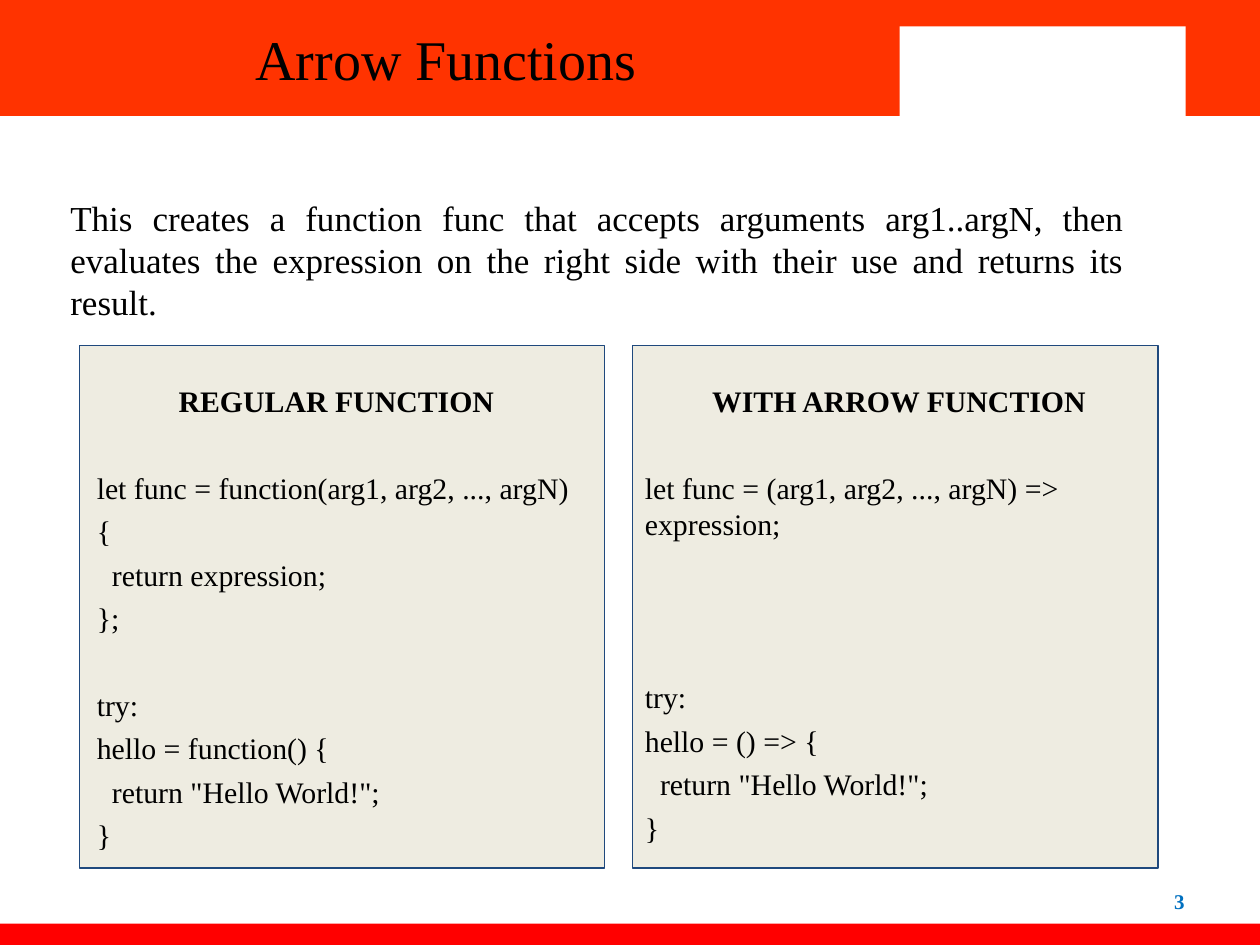
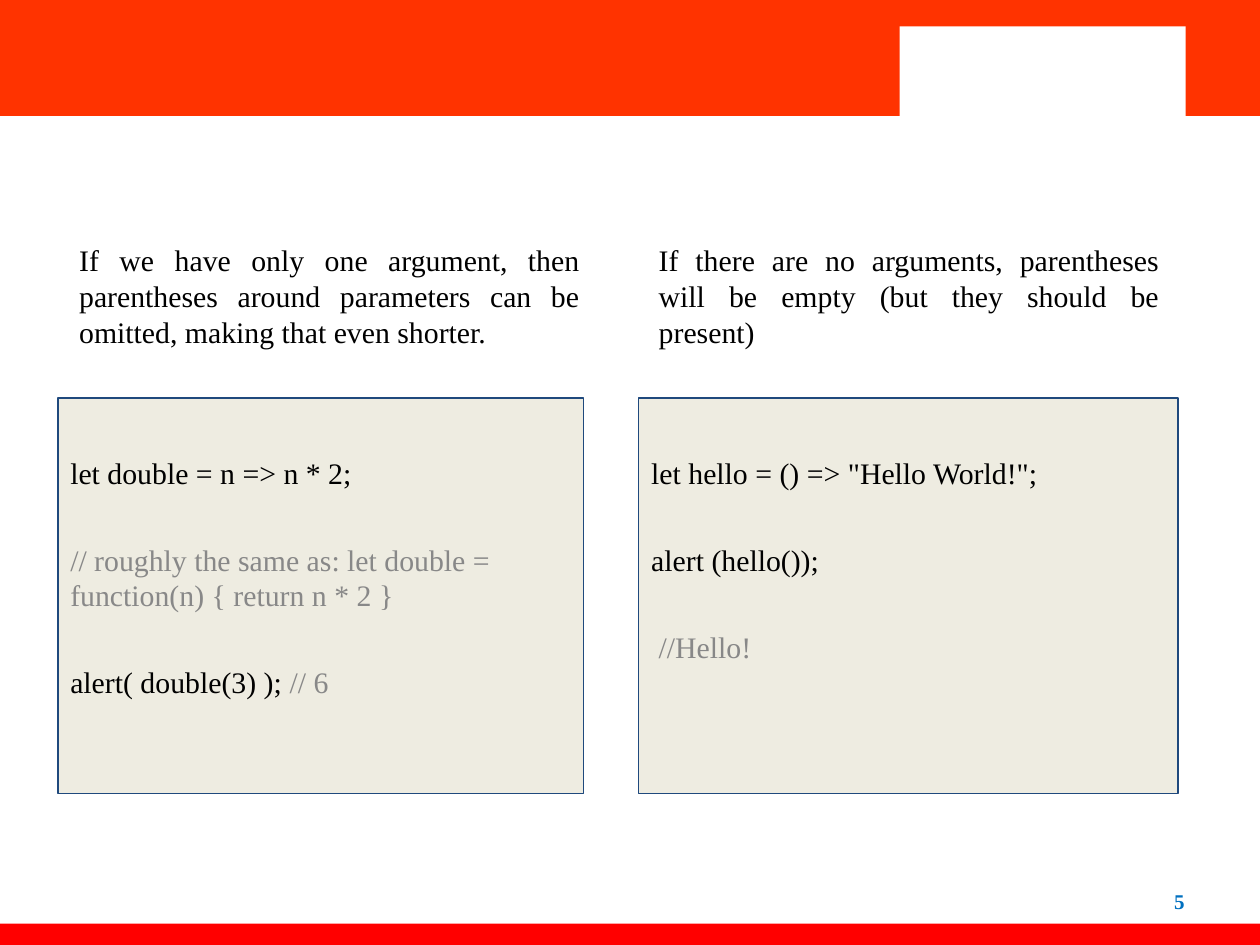
from dataclasses import dataclass
from pptx import Presentation
from pptx.dml.color import RGBColor
from pptx.enum.shapes import MSO_SHAPE as Shape
from pptx.enum.text import MSO_ANCHOR as Anchor, PP_ALIGN as Align
from pptx.util import Inches, Pt


@dataclass(frozen=True)
class Theme:
    font: str = "Times New Roman"
    band: str = "FF3300"
    footer: str = "FF0000"
    plate: str = "FFFFFF"
    panel: str = "EEECE1"
    panel_line: str = "1F497D"
    ink: str = "000000"
    comment: str = "888888"
    number: str = "0070C0"
    title_size: int = 32
    intro_size: int = 20
    body_size: int = 17
    number_size: int = 12
    space_before: float = 4.4
    blank_line: float = 24.8
    code_indent: float = 0.12


theme = Theme()


def add_box(slide, place, fill, line=None):
    box = slide.shapes.add_shape(Shape.RECTANGLE, *map(Inches, place))
    box.shadow.inherit = False
    box.fill.solid()
    box.fill.fore_color.rgb = RGBColor.from_string(fill)
    if line:
        box.line.color.rgb = RGBColor.from_string(line)
        box.line.width = Pt(0.75)
    else:
        box.line.fill.background()


def add_text(slide, place, lines, size=theme.body_size, color=theme.ink, align=Align.LEFT,
             anchor=Anchor.TOP, inset=0.05, space=theme.space_before):
    """Each line is a text or a dict with runs, gap (blank lines above), indent and heading."""
    frame = slide.shapes.add_textbox(*map(Inches, place)).text_frame
    frame_format = {"word_wrap": True, "vertical_anchor": anchor,
                    "margin_left": Inches(0.1), "margin_right": Inches(0.1),
                    "margin_top": Inches(inset), "margin_bottom": Inches(inset)}
    for name, value in frame_format.items():
        setattr(frame, name, value)
    for index, line in enumerate(lines):
        if isinstance(line, str):
            line = {"runs": [(line, color)]}
        paragraph = frame.paragraphs[0] if index == 0 else frame.add_paragraph()
        heading = line.get("heading", False)
        paragraph.alignment = Align.CENTER if heading else align
        paragraph.space_before = Pt(space + theme.blank_line * line.get("gap", 0))
        if line.get("indent"):
            properties = paragraph._p.get_or_add_pPr()
            properties.set("marL", str(Inches(theme.code_indent)))
            properties.set("indent", "0")
        for text, run_color in line["runs"]:
            run = paragraph.add_run()
            run.text = text
            run.font.color.rgb = RGBColor.from_string(run_color)
            font_format = {"name": theme.font, "size": Pt(size),
                           "bold": heading or line.get("bold", False)}
            for name, value in font_format.items():
                setattr(run.font, name, value)


presentation = Presentation()
presentation.slide_width, presentation.slide_height = Inches(10), Inches(7.5)

# Shared bands and slide numbers
bands = [
    ((0, 0, 10, 0.92), theme.band),
    ((0, 7.33, 10, 0.17), theme.footer),
    ((6.72, 0, 3.28, 0.92), theme.band),
    ((7.14, 0.21, 2.27, 0.75), theme.plate),
]
slides = []
for number in ("3", "5"):
    slide = presentation.slides.add_slide(presentation.slide_layouts[6])
    for place, fill in bands:
        add_box(slide, place, fill)
    add_text(slide, (7.17, 6.95, 2.33, 0.4),
             [{"runs": [(number, theme.number)], "bold": True}],
             size=theme.number_size, align=Align.RIGHT, anchor=Anchor.MIDDLE, space=0)
    slides.append(slide)
comparison, short_forms = slides

# Regular function against arrow function
add_text(comparison, (0, 0, 7.08, 0.92), ["Arrow Functions"], size=theme.title_size,
         align=Align.CENTER, anchor=Anchor.MIDDLE, space=0)
add_text(comparison, (0.46, 1.46, 8.56, 1.21),
         ["This creates a function func that accepts arguments arg1..argN, then evaluates "
          "the expression on the right side with their use and returns its result."],
         size=theme.intro_size, align=Align.JUSTIFY, inset=0.1)

hello_body = [{"runs": [('return "Hello World!";', theme.ink)], "indent": True}, "}"]
regular_code = [
    {"runs": [("REGULAR FUNCTION", theme.ink)], "heading": True},
    {"runs": [("let func = function(arg1, arg2, ..., argN)", theme.ink)], "gap": 1},
    "{",
    {"runs": [("return expression;", theme.ink)], "indent": True},
    "};",
    {"runs": [("try:", theme.ink)], "gap": 1},
    "hello = function() {",
    *hello_body,
]
arrow_code = [
    {"runs": [("WITH ARROW FUNCTION", theme.ink)], "heading": True},
    {"runs": [("let func = (arg1, arg2, ..., argN) => expression;", theme.ink)], "gap": 1},
    {"runs": [("try:", theme.ink)], "gap": 3},
    "hello = () => {",
    *hello_body,
]
for panel_left, text_left, text_width, code in (
        (0.63, 0.67, 4, regular_code), (5.02, 5.02, 4.23, arrow_code)):
    add_box(comparison, (panel_left, 2.74, 4.17, 4.15), theme.panel, theme.panel_line)
    add_text(comparison, (text_left, 2.99, text_width, 3.9), code)

# One argument and no arguments
one_argument_code = [
    "let double = n => n * 2;",
    {"runs": [("// roughly the same as: let double = function(n) { return n * 2 }",
               theme.comment)], "gap": 1},
    {"runs": [("alert( double(3) ); ", theme.ink), ("// 6", theme.comment)], "gap": 1},
]
no_argument_code = [
    'let hello = () => "Hello World!";',
    {"runs": [("alert (hello());", theme.ink)], "gap": 1},
    {"runs": [(" //Hello!", theme.comment)], "gap": 1},
]
cases = [
    (0.46, 4.17, 0.53, "If we have only one argument, then parentheses around parameters "
     "can be omitted, making that even shorter.", one_argument_code),
    (5.07, 4.28, 5.13, "If there are no arguments, parentheses will be empty "
     "(but they should be present)", no_argument_code),
]
for panel_left, panel_width, rule_left, rule, code in cases:
    add_box(short_forms, (panel_left, 3.16, panel_width, 3.14), theme.panel, theme.panel_line)
    add_text(short_forms, (panel_left, 3.56, panel_width, 2.33), code)
    add_text(short_forms, (rule_left, 1.87, 4.17, 1.05), [rule], align=Align.JUSTIFY)

presentation.save("out.pptx")
